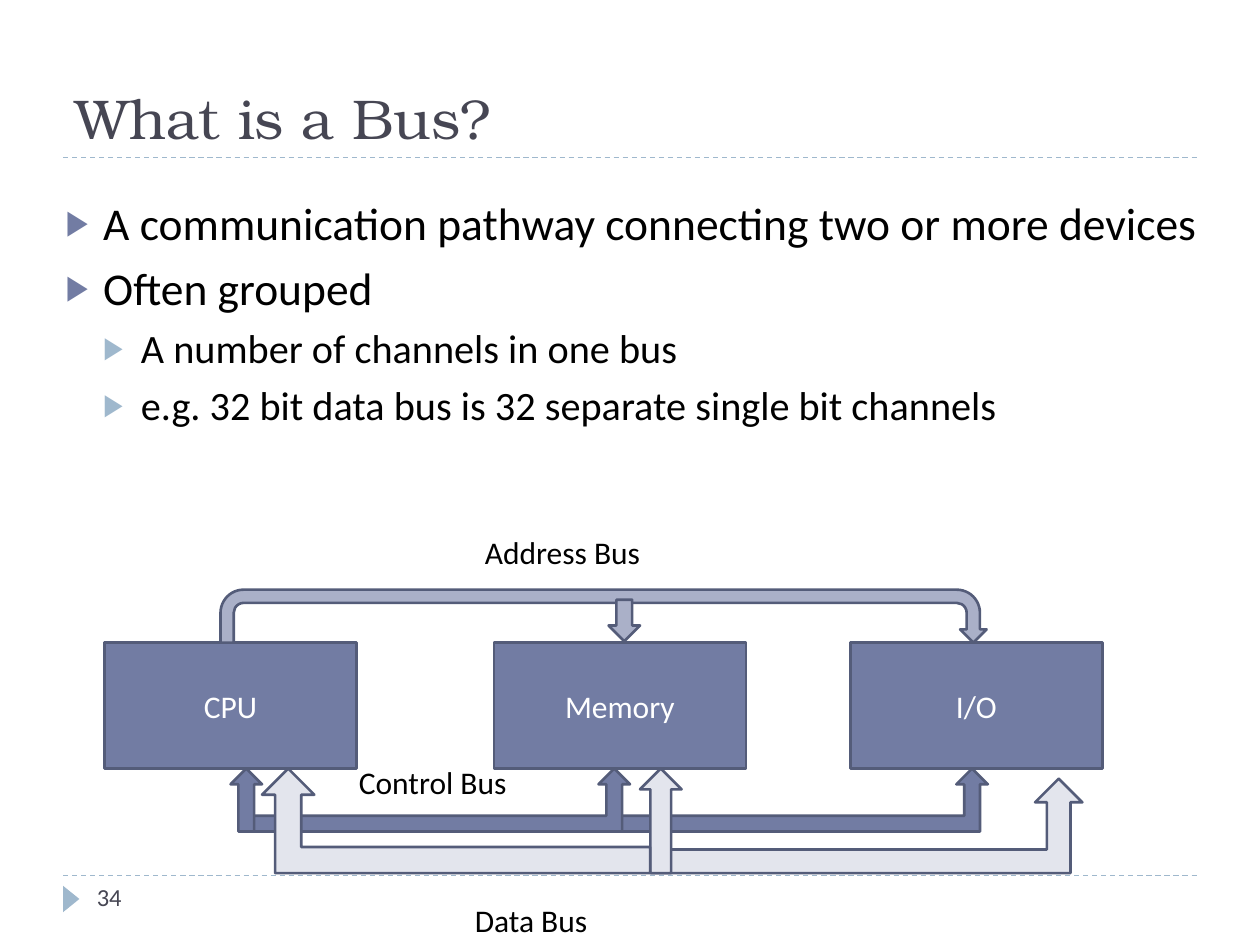
from lxml.etree import SubElement
from pptx import Presentation
from pptx.dml.color import RGBColor
from pptx.enum.dml import MSO_LINE
from pptx.enum.shapes import MSO_CONNECTOR, MSO_SHAPE
from pptx.enum.text import MSO_ANCHOR, MSO_AUTO_SIZE, PP_ALIGN
from pptx.oxml.ns import qn
from pptx.util import Cm, Pt

BLACK = RGBColor(0x00, 0x00, 0x00)
WHITE = RGBColor(0xFF, 0xFF, 0xFF)
TITLE_GREY = RGBColor(0x46, 0x46, 0x53)
INDIGO = RGBColor(0x72, 0x7C, 0xA3)
OUTLINE = RGBColor(0x54, 0x5C, 0x79)
SKY = RGBColor(0x9F, 0xB8, 0xCD)
ADDRESS_FILL = RGBColor(0xAA, 0xB0, 0xC8)
DATA_FILL = RGBColor(0xE3, 0xE5, 0xED)

TITLE = "What is a Bus?"
BULLETS = [
    (0, "A communication pathway connecting two or more devices"),
    (0, "Often grouped"),
    (1, "A number of channels in one bus"),
    (1, "e.g. 32 bit data bus is 32 separate single bit channels"),
]
LEVELS = [(26, 6, INDIGO), (23, 5, SKY)]
RULE_HEIGHTS = [6.95, 1.25]
DEVICES = [("CPU", 0.83), ("Memory", 3.92), ("I/O", 6.75)]
DEVICE_TOP, DEVICE_WIDTH, DEVICE_HEIGHT = 5.1, 2, 1
DEVICE_BOTTOM = DEVICE_TOP + DEVICE_HEIGHT
LABELS = [
    ("34", 0.67, 6.95, 2.17, 14, TITLE_GREY),
    ("Address Bus", 3.75, 4.18, 2.58, 18, BLACK),
    ("Control Bus", 2.75, 6.01, 2.83, 18, BLACK),
    ("Data Bus", 3.67, 7.1, 2.83, 18, BLACK),
]
ADDRESS_ARROWS = [
    (MSO_SHAPE.U_TURN_ARROW, 1.75, 4.68, 6.08, 0.42),
    (MSO_SHAPE.DOWN_ARROW, 4.83, 4.76, 0.25, 0.33),
]
CONTROL_ARROWS = [
    (MSO_SHAPE.BENT_UP_ARROW, 4.92, DEVICE_BOTTOM, 2.92, 0.5),
    (MSO_SHAPE.BENT_UP_ARROW, 1.92, DEVICE_BOTTOM, 3.08, 0.5),
    (MSO_SHAPE.UP_ARROW, 1.83, DEVICE_BOTTOM, 0.25, 0.5),
]
DATA_ARROWS = [
    (MSO_SHAPE.BENT_UP_ARROW, 5.17, 6.18, 3.42, 0.75),
    (MSO_SHAPE.UP_ARROW, 5.08, DEVICE_BOTTOM, 0.33, 0.83),
    (MSO_SHAPE.BENT_UP_ARROW, 2.08, DEVICE_BOTTOM, 3.08, 0.83),
]


def lengths(*inches):
    return [Cm(2.54 * value) for value in inches]


def format_runs(paragraph, size, color, font="Calibri"):
    for run in paragraph.runs:
        run.font.size = Pt(size)
        run.font.name = font
        run.font.color.rgb = color


def place(shape, *box):
    shape.left, shape.top, shape.width, shape.height = lengths(*box)


def add_rule(slide, height):
    rule = slide.shapes.add_connector(
        MSO_CONNECTOR.STRAIGHT, *lengths(0.5, height, 9.5, height))
    rule.line.color.rgb = SKY
    rule.line.width = Pt(0.75)
    rule.line.dash_style = MSO_LINE.DASH
    SubElement(rule.element.spPr, qn("a:effectLst"))


def add_filled(slide, kind, box, fill, outlined=True):
    shape = slide.shapes.add_shape(kind, *lengths(*box))
    shape.shadow.inherit = False
    shape.fill.solid()
    shape.fill.fore_color.rgb = fill
    if outlined:
        shape.line.color.rgb = OUTLINE
        shape.line.width = Pt(1.5)
    else:
        shape.line.fill.background()
    return shape


def add_arrows(slide, arrows, fill):
    return [add_filled(slide, kind, box, fill) for kind, *box in arrows]


def add_label(slide, text, left, top, width, size, color):
    label = slide.shapes.add_textbox(*lengths(left, top, width, 0.4))
    label.text_frame.word_wrap = True
    label.text_frame.text = text
    format_runs(label.text_frame.paragraphs[0], size, color)


def add_bullet(paragraph, level, color):
    properties = paragraph._p.get_or_add_pPr()
    properties.set("marL", str(Cm(0.76 * (level + 1))))
    properties.set("indent", str(-Cm(0.76)))
    bullet_color = SubElement(properties, qn("a:buClr"))
    SubElement(bullet_color, qn("a:srgbClr"), val=str(color))
    SubElement(properties, qn("a:buSzPct"), val="76000")
    SubElement(properties, qn("a:buChar"), char="▶")


def fill_title(title):
    place(title, 0.5, 0.17, 9, 1.08)
    frame = title.text_frame
    frame.text = TITLE
    frame.auto_size = MSO_AUTO_SIZE.NONE
    frame.vertical_anchor = MSO_ANCHOR.BOTTOM
    frame.paragraphs[0].alignment = PP_ALIGN.LEFT
    format_runs(frame.paragraphs[0], 32, TITLE_GREY, "TeX Gyre Bonum")


def fill_body(body):
    place(body, 0.42, 1.5, 9.3, 2.5)
    frame = body.text_frame
    frame.text = "\n".join(text for _, text in BULLETS)
    frame.auto_size = MSO_AUTO_SIZE.NONE
    for paragraph, (level, _) in zip(frame.paragraphs, BULLETS):
        size, space, bullet_color = LEVELS[level]
        paragraph.level = level
        paragraph.alignment = PP_ALIGN.JUSTIFY
        paragraph.space_before = Pt(space)
        add_bullet(paragraph, level, bullet_color)
        format_runs(paragraph, size, BLACK)


def add_device(slide, name, left):
    box = (left, DEVICE_TOP, DEVICE_WIDTH, DEVICE_HEIGHT)
    device = add_filled(slide, MSO_SHAPE.RECTANGLE, box, INDIGO)
    frame = device.text_frame
    frame.text = name
    frame.vertical_anchor = MSO_ANCHOR.MIDDLE
    frame.paragraphs[0].alignment = PP_ALIGN.CENTER
    format_runs(frame.paragraphs[0], 18, WHITE)


def main():
    presentation = Presentation()
    presentation.slide_width, presentation.slide_height = lengths(10, 7.5)
    slide = presentation.slides.add_slide(presentation.slide_layouts[1])

    for height in RULE_HEIGHTS:
        add_rule(slide, height)
    marker = add_filled(slide, MSO_SHAPE.ISOSCELES_TRIANGLE,
                        (0.46, 7.07, 0.21, 0.13), SKY, outlined=False)
    marker.rotation = 90

    fill_title(slide.shapes.title)
    fill_body(slide.placeholders[1])

    for name, left in DEVICES:
        add_device(slide, name, left)
    u_turn, _ = add_arrows(slide, ADDRESS_ARROWS, ADDRESS_FILL)
    for index, value in enumerate([0.25, 0.25, 0.25, 0.438, 1]):
        u_turn.adjustments[index] = value
    add_arrows(slide, CONTROL_ARROWS, INDIGO)
    for label in LABELS:
        add_label(slide, *label)
    *_, cpu_arrow = add_arrows(slide, DATA_ARROWS, DATA_FILL)
    cpu_arrow.element.spPr.get_or_add_xfrm().set("flipH", "1")

    presentation.save("out.pptx")


if __name__ == "__main__":
    main()
